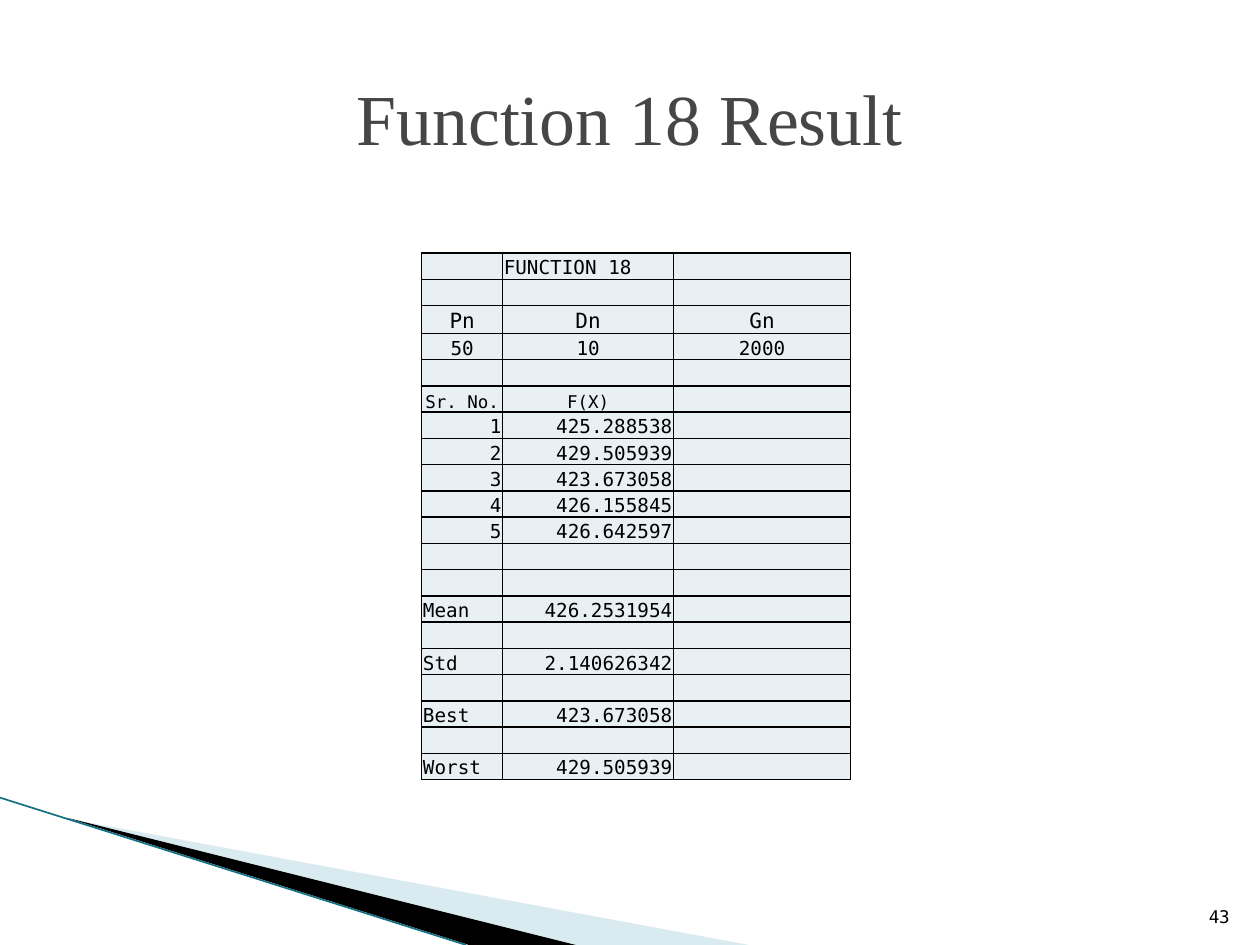
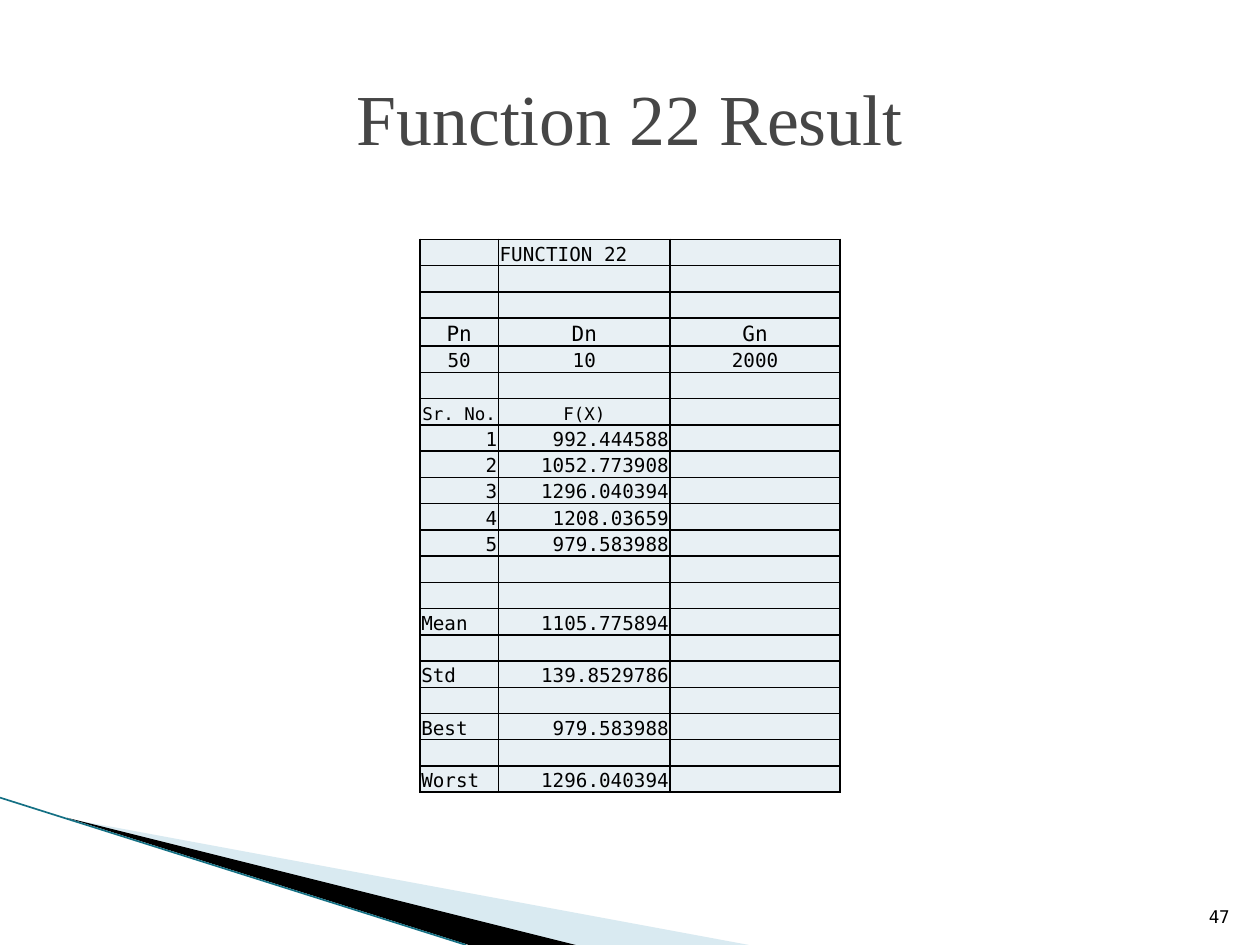
"""Build the result slides for functions 18 and 22."""
from lxml.etree import SubElement
from pptx import Presentation
from pptx.dml.color import RGBColor
from pptx.enum.shapes import MSO_CONNECTOR
from pptx.enum.text import MSO_ANCHOR, PP_ALIGN
from pptx.oxml.ns import qn
from pptx.util import Pt

WHITE = RGBColor(0xFF, 0xFF, 0xFF)
BLACK = RGBColor(0, 0, 0)
TITLE_GREY = RGBColor(0x46, 0x46, 0x46)
CELL_BLUE = RGBColor(0xE8, 0xF0, 0xF4)
WEDGE_BLUE = RGBColor(0xA0, 0xCB, 0xDC)
EDGE_TEAL = RGBColor(0x14, 0x70, 0x84)

LEFT, CENTER, RIGHT = PP_ALIGN.LEFT, PP_ALIGN.CENTER, PP_ALIGN.RIGHT
TITLE_FONT = {"name": "Times New Roman", "size": Pt(41)}
MONO_FONT = {"name": "DejaVu Sans Mono", "size": Pt(11)}
CELL_FORMAT = {
    "vertical_anchor": MSO_ANCHOR.BOTTOM,
    "margin_left": Pt(0.72), "margin_right": Pt(0.72),
    "margin_top": Pt(0.72), "margin_bottom": 0,
}
ROW_HEIGHT, HEAD_HEIGHT = 15, 16

RESULTS = [
    {"number": 18, "page": 43, "at": (241, 144.6), "widths": (46.2, 97.8, 101),
     "blank_rows": 1,
     "runs": ("425.288538", "429.505939", "423.673058", "426.155845", "426.642597"),
     "stats": {"Mean": "426.2531954", "Std": "2.140626342",
               "Best": "423.673058", "Worst": "429.505939"}},
    {"number": 22, "page": 47, "at": (240, 136.8), "widths": (44.8, 98.2, 97),
     "blank_rows": 2,
     "runs": ("992.444588", "1052.773908", "1296.040394", "1208.03659", "979.583988"),
     "stats": {"Mean": "1105.775894", "Std": "139.8529786",
               "Best": "979.583988", "Worst": "1296.040394"}},
]


def set_all(target, values):
    for name, value in values.items():
        setattr(target, name, value)


def result_rows(result):
    """Return the table rows as (texts, alignments, size)."""
    blank = ((), (), 11)
    centred = (CENTER,) * 3
    rows = [(("", f"FUNCTION {result['number']}"), (LEFT, LEFT), 11)]
    rows += [blank] * result["blank_rows"]
    rows += [(("Pn", "Dn", "Gn"), centred, 12),
             (("50", "10", "2000"), centred, 11),
             blank,
             (("Sr. No.", "F(X)"), centred, 10)]
    rows += [((str(i), value), (RIGHT, RIGHT), 11)
             for i, value in enumerate(result["runs"], 1)]
    rows.append(blank)
    for label, value in result["stats"].items():
        rows += [blank, ((label, value), (LEFT, RIGHT), 11)]
    return rows


class Deck:
    """Holds the shared style and the current slide."""

    def __init__(self):
        self.prs = Presentation()
        set_all(self.prs, {"slide_width": Pt(720), "slide_height": Pt(540)})
        self.s = None

    def slide(self, title, page):
        self.s = self.prs.slides.add_slide(self.prs.slide_layouts[6])
        self.s.background.fill.solid()
        self.s.background.fill.fore_color.rgb = WHITE
        self.wedge([(39.6, 468), (428, 540), (328, 540)], WEDGE_BLUE, 40)
        self.wedge([(38.2, 467.3), (329, 540), (268, 540)], BLACK)
        self.line((0, 455.8), (266.4, 540), EDGE_TEAL, 0.95)
        self.text(str(page), (681, 504.7, 28.8, 28.8), MONO_FONT | {"size": Pt(10)},
                  BLACK, RIGHT, MSO_ANCHOR.BOTTOM)
        self.text(title, (36, 21.6, 648, 90), TITLE_FONT,
                  TITLE_GREY, CENTER, MSO_ANCHOR.MIDDLE)

    def wedge(self, points, color, opacity=100):
        start, *rest = [(Pt(x), Pt(y)) for x, y in points]
        builder = self.s.shapes.build_freeform(*start)
        builder.add_line_segments(rest, close=True)
        sp = builder.convert_to_shape()
        sp.shadow.inherit = False
        sp.fill.solid()
        sp.fill.fore_color.rgb = color
        sp.line.fill.background()
        if opacity < 100:
            clr = sp._element.spPr.find(qn("a:solidFill"))[0]
            SubElement(clr, qn("a:alpha"), val=str(opacity * 1000))

    def line(self, start, end, color, width):
        ends = [Pt(v) for v in (*start, *end)]
        cx = self.s.shapes.add_connector(MSO_CONNECTOR.STRAIGHT, *ends)
        cx.line.color.rgb = color
        cx.line.width = Pt(width)
        SubElement(cx._element.spPr, qn("a:effectLst"))

    def text(self, text, box, font, color, align, anchor):
        tf = self.s.shapes.add_textbox(*[Pt(v) for v in box]).text_frame
        set_all(tf, {"word_wrap": True, "vertical_anchor": anchor})
        self.run(tf.paragraphs[0], text, font, color, align)

    def run(self, p, text, font, color, align):
        p.alignment = align
        r = p.add_run()
        r.text = text
        set_all(r.font, font)
        r.font.color.rgb = color

    def table(self, at, widths, rows):
        heights = [HEAD_HEIGHT if size == 12 else ROW_HEIGHT for _, _, size in rows]
        box = (*at, sum(widths), sum(heights))
        tbl = self.s.shapes.add_table(len(rows), len(widths), *[Pt(v) for v in box]).table
        set_all(tbl, {"first_row": False, "horz_banding": False})
        for column, width in zip(tbl.columns, widths):
            column.width = Pt(width)
        for i, (texts, aligns, size) in enumerate(rows):
            tbl.rows[i].height = Pt(heights[i])
            for j in range(len(widths)):
                text = texts[j] if j < len(texts) else ""
                align = aligns[j] if text else LEFT
                self.cell(tbl.cell(i, j), text, align, size)

    def cell(self, cell, text, align, size):
        set_all(cell, CELL_FORMAT)
        tcPr = cell._tc.get_or_add_tcPr()
        for side in "LRTB":
            ln = SubElement(tcPr, qn(f"a:ln{side}"), w=str(Pt(1)))
            SubElement(SubElement(ln, qn("a:solidFill")), qn("a:srgbClr"), val=str(BLACK))
        cell.fill.solid()
        cell.fill.fore_color.rgb = CELL_BLUE
        p = cell.text_frame.paragraphs[0]
        if text:
            self.run(p, text, MONO_FONT | {"size": Pt(size)}, BLACK, align)
        else:
            SubElement(p._p, qn("a:endParaRPr"), sz=str(size * 100))


def main():
    deck = Deck()
    for result in RESULTS:
        deck.slide(f"Function {result['number']} Result", result["page"])
        deck.table(result["at"], result["widths"], result_rows(result))
    deck.prs.save("out.pptx")


if __name__ == "__main__":
    main()
